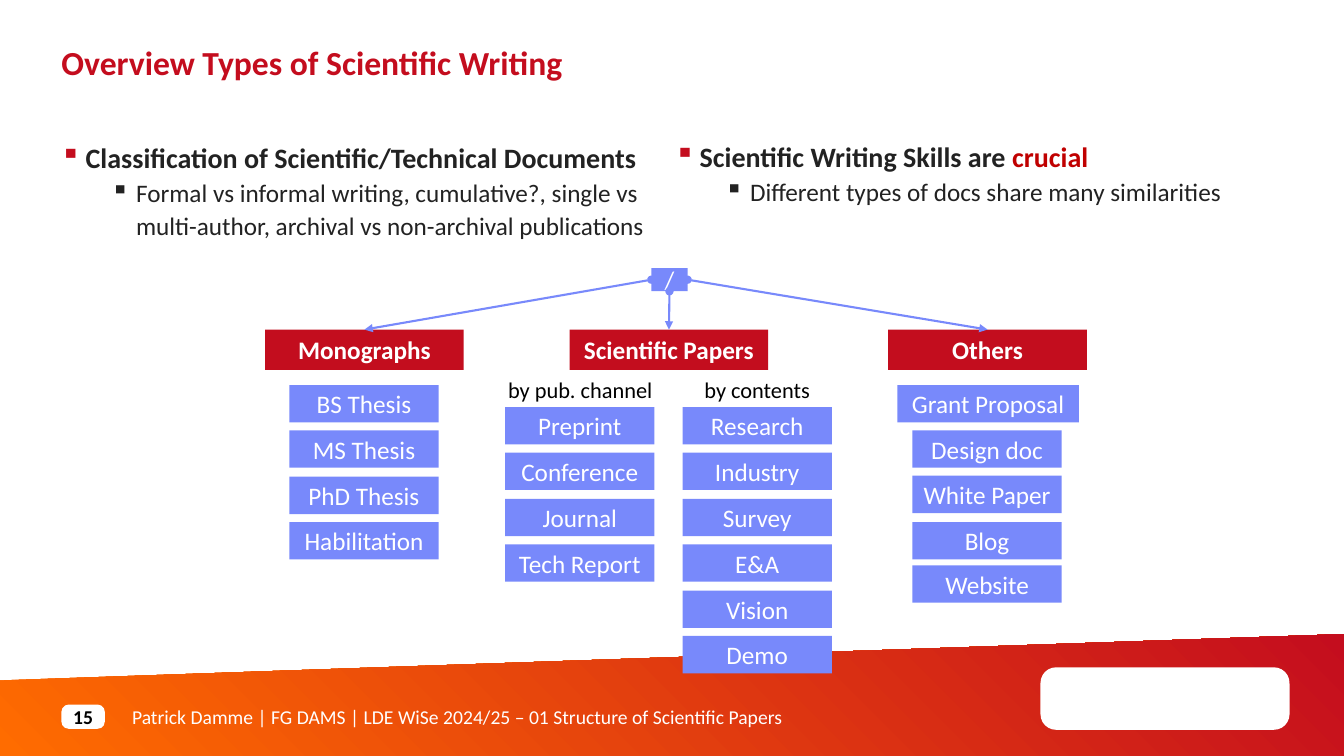
from dataclasses import dataclass
from typing import Optional

import pptx
import pptx.dml.color
import pptx.enum.dml
import pptx.enum.shapes
import pptx.enum.text
import pptx.oxml.ns
import pptx.util
from lxml import etree

PX = 9144
FONT = "Calibri"
RED, HEADING_RED, CRUCIAL_RED = "C40D1E", "C30D1E", "C00000"
ORANGE, BLUE, INK, BLACK, WHITE = "FF6C00", "7889FB", "222222", "000000", "FFFFFF"
CENTER = pptx.enum.text.PP_ALIGN.CENTER
MIDDLE = pptx.enum.text.MSO_ANCHOR.MIDDLE
TOP = pptx.enum.text.MSO_ANCHOR.TOP
SHAPES = pptx.enum.shapes.MSO_SHAPE


@dataclass
class Box:
    text: str
    left: int
    top: int
    width: int = 148
    height: int = 37
    fill: str = BLUE
    color: str = WHITE
    size: int = 18
    bold: bool = False
    radius: Optional[float] = None
    inset: Optional[int] = None


@dataclass
class Column:
    left: int
    top: int
    entries: list[str]


@dataclass
class Label:
    text: str
    left: int
    top: int
    width: int
    height: int
    size: int
    color: str
    bold: bool = False
    align: Optional[pptx.enum.text.PP_ALIGN] = None
    anchor: pptx.enum.text.MSO_ANCHOR = TOP
    inset: Optional[int] = 0
    wrap: bool = True
    line_spacing: Optional[int] = None


@dataclass
class Statement:
    left: int
    top: int
    headline: list[tuple[str, str]]
    detail: str


HEADINGS = [
    Box(text, left, 327, 197, 40, HEADING_RED, bold=True)
    for text, left in [("Monographs", 263), ("Scientific Papers", 565), ("Others", 881)]
]
ROOT = Box("/", 646, 266, 36, 23)
ROOT_SIDES = [1, 2, 3]
COLUMNS = [
    Column(287, 382, ["BS Thesis", "MS Thesis", "PhD Thesis", "Habilitation"]),
    Column(501, 404, ["Preprint", "Conference", "Journal", "Tech Report"]),
    Column(677, 404, ["Research", "Industry", "Survey", "E&A", "Vision", "Demo"]),
    Column(905, 427, ["Design doc", "White Paper", "Blog"]),
]
OTHER_ENTRIES = [Box("Grant Proposal", 890, 382, 180), Box("Website", 905, 561)]
FOOTER_BOXES = [
    Box("", 1032, 662, 247, 62, WHITE, radius=0.249),
    Box("15", 61, 699, 43, 24, WHITE, BLACK, 14, True, 0.295, 0),
]
LABELS = [
    Label("Patrick Damme | FG DAMS | LDE WiSe 2024/25 – 01 Structure of Scientific Papers",
          131, 699, 833, 24, 14, WHITE, anchor=MIDDLE),
    Label("Overview Types of Scientific Writing", 61, 43, 909, 78, 24, RED, True,
          line_spacing=28),
    Label("by pub. channel", 493, 368, 165, 37, 16, BLACK, align=CENTER, inset=None, wrap=False),
    Label("by contents", 688, 368, 126, 37, 16, BLACK, align=CENTER, inset=None, wrap=False),
]
STATEMENTS = [
    Statement(60, 139, [("Classification of Scientific/Technical Documents", INK)],
              "Formal vs informal writing, cumulative?, single vs multi-author, "
              "archival vs non-archival publications"),
    Statement(669, 138, [("Scientific Writing Skills are ", INK), ("crucial", CRUCIAL_RED)],
              "Different types of docs share many similarities"),
]


def rgb(value: str) -> pptx.dml.color.RGBColor:
    """Turn a hex string into a colour."""
    return pptx.dml.color.RGBColor.from_string(value)


def emu(*lengths: int) -> list[pptx.util.Emu]:
    """Turn px lengths into EMU."""
    return [pptx.util.Emu(length * PX) for length in lengths]


def write(paragraph, text: str, *, size: int, color: str, bold: bool = False) -> None:
    """Append formatted text to a paragraph."""
    run = paragraph.add_run()
    run.text = text
    run.font.name = FONT
    run.font.size = pptx.util.Pt(size)
    run.font.bold = bold
    run.font.color.rgb = rgb(color)


def set_insets(frame, inset: Optional[int]) -> None:
    """Set all four margins when an inset is given."""
    if inset is not None:
        margin = pptx.util.Emu(inset * PX)
        frame.margin_left = frame.margin_right = margin
        frame.margin_top = frame.margin_bottom = margin


def draw_box(slide, box: Box):
    """Draw a filled box with centred text."""
    kind = SHAPES.RECTANGLE if box.radius is None else SHAPES.ROUNDED_RECTANGLE
    shape = slide.shapes.add_shape(kind, *emu(box.left, box.top, box.width, box.height))
    if box.radius is not None:
        shape.adjustments[0] = box.radius
    shape.shadow.inherit = False
    shape.fill.solid()
    shape.fill.fore_color.rgb = rgb(box.fill)
    shape.line.fill.background()
    frame = shape.text_frame
    frame.vertical_anchor = MIDDLE
    set_insets(frame, box.inset)
    if box.text:
        frame.paragraphs[0].alignment = CENTER
        write(frame.paragraphs[0], box.text, size=box.size, color=box.color, bold=box.bold)
    return shape


def draw_label(slide, label: Label) -> None:
    """Draw a single line of free text."""
    frame = slide.shapes.add_textbox(
        *emu(label.left, label.top, label.width, label.height)).text_frame
    frame.word_wrap = label.wrap
    frame.vertical_anchor = label.anchor
    set_insets(frame, label.inset)
    paragraph = frame.paragraphs[0]
    paragraph.alignment = label.align
    if label.line_spacing:
        paragraph.line_spacing = pptx.util.Pt(label.line_spacing)
    write(paragraph, label.text, size=label.size, color=label.color, bold=label.bold)


def add_bullet(paragraph, margin: int, color: str) -> None:
    """Give a paragraph a hanging square bullet."""
    paragraph.line_spacing = pptx.util.Pt(24)
    properties = paragraph._p.get_or_add_pPr()
    properties.set("marL", str(margin * PX))
    properties.set("indent", str(-25 * PX))
    bullet_color = etree.SubElement(properties, pptx.oxml.ns.qn("a:buClr"))
    etree.SubElement(bullet_color, pptx.oxml.ns.qn("a:srgbClr"), val=color)
    etree.SubElement(properties, pptx.oxml.ns.qn("a:buChar"), char="▪")


def draw_statement(slide, statement: Statement) -> None:
    """Draw a bulleted headline with its detail."""
    frame = slide.shapes.add_textbox(*emu(statement.left, statement.top, 606, 103)).text_frame
    frame.word_wrap = True
    set_insets(frame, 0)
    headline = frame.paragraphs[0]
    add_bullet(headline, 25, RED)
    for text, color in statement.headline:
        write(headline, text, size=20, color=color, bold=True)
    detail = frame.add_paragraph()
    detail.level = 1
    add_bullet(detail, 75, INK)
    write(detail, statement.detail, size=18, color=INK)


def draw_arrow(slide, root, side: int, heading) -> None:
    """Join a side of the root to the top of a heading."""
    arrow = slide.shapes.add_connector(pptx.enum.shapes.MSO_CONNECTOR.STRAIGHT, 0, 0, 0, 0)
    arrow.begin_connect(root, side)
    arrow.end_connect(heading, 0)
    arrow.line.color.rgb = rgb(BLUE)
    arrow.line.width = pptx.util.Pt(1.5)
    line = arrow.line._get_or_add_ln()
    etree.SubElement(line, pptx.oxml.ns.qn("a:headEnd"), type="oval")
    etree.SubElement(line, pptx.oxml.ns.qn("a:tailEnd"), type="triangle")
    etree.SubElement(arrow._element.spPr, pptx.oxml.ns.qn("a:effectLst"))


def draw_footer_band(slide) -> None:
    """Draw the slanted gradient band."""
    outline = slide.shapes.build_freeform(0, 675, scale=PX)
    outline.add_line_segments([(1334, 629), (1333, 750), (0, 750)], close=True)
    band = outline.convert_to_shape()
    band.shadow.inherit = False
    band.line.fill.background()
    band.fill.gradient()
    band.fill.gradient_angle = 45
    for stop, color, position in zip(band.fill.gradient_stops, [ORANGE, RED], [0, 1]):
        stop.color.rgb = rgb(color)
        stop.position = position


def main() -> None:
    """Build and save the slide."""
    deck = pptx.Presentation()
    deck.slide_width, deck.slide_height = emu(1333, 750)
    slide = deck.slides.add_slide(deck.slide_layouts[6])
    draw_footer_band(slide)
    for box in FOOTER_BOXES:
        draw_box(slide, box)
    for label in LABELS:
        draw_label(slide, label)
    for statement in STATEMENTS:
        draw_statement(slide, statement)
    headings = [draw_box(slide, heading) for heading in HEADINGS]
    root = draw_box(slide, ROOT)
    for side, heading in zip(ROOT_SIDES, headings):
        draw_arrow(slide, root, side, heading)
    for column in COLUMNS:
        for row, entry in enumerate(column.entries):
            draw_box(slide, Box(entry, column.left, column.top + row * 91 // 2))
    for entry in OTHER_ENTRIES:
        draw_box(slide, entry)
    deck.save("out.pptx")


if __name__ == "__main__":
    main()
